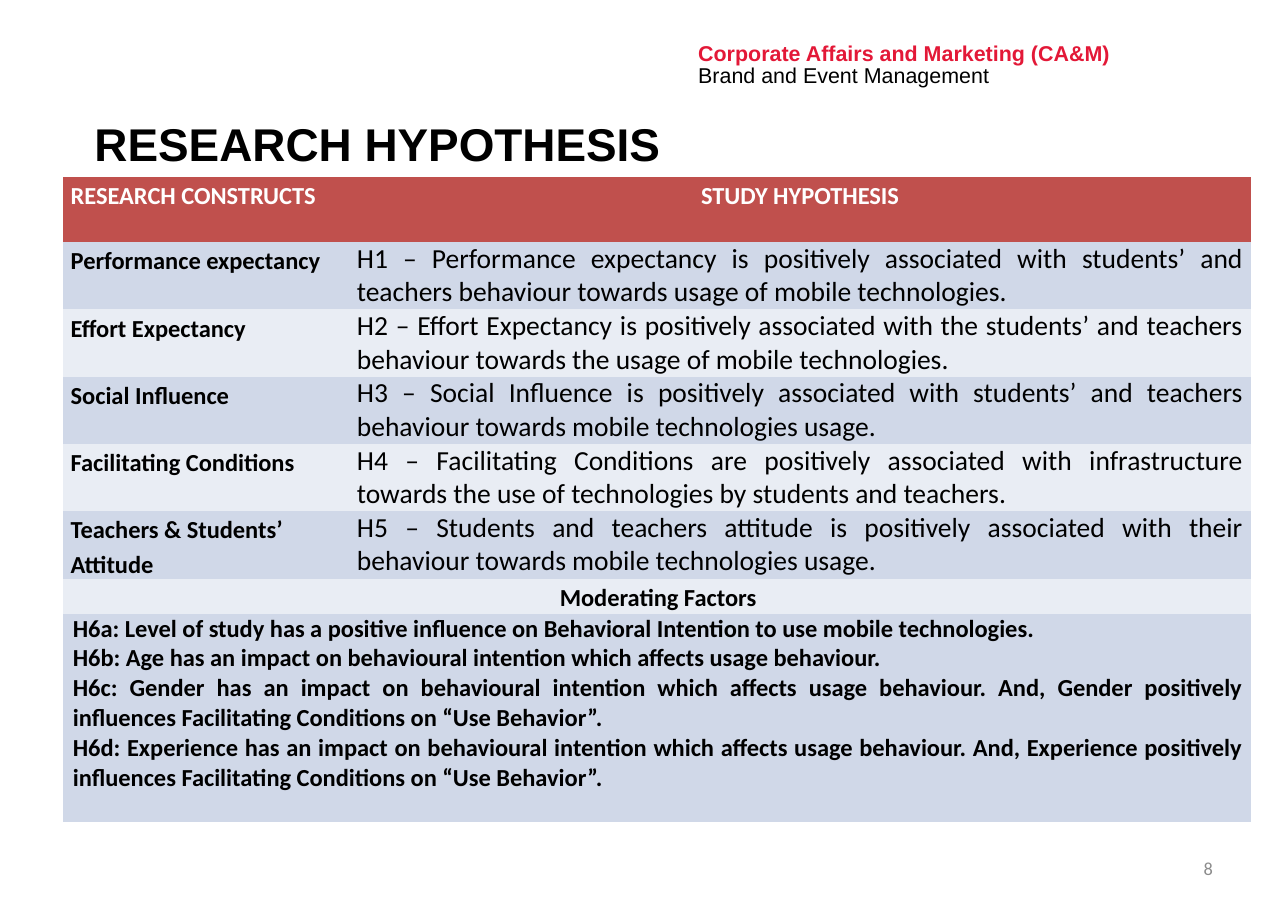
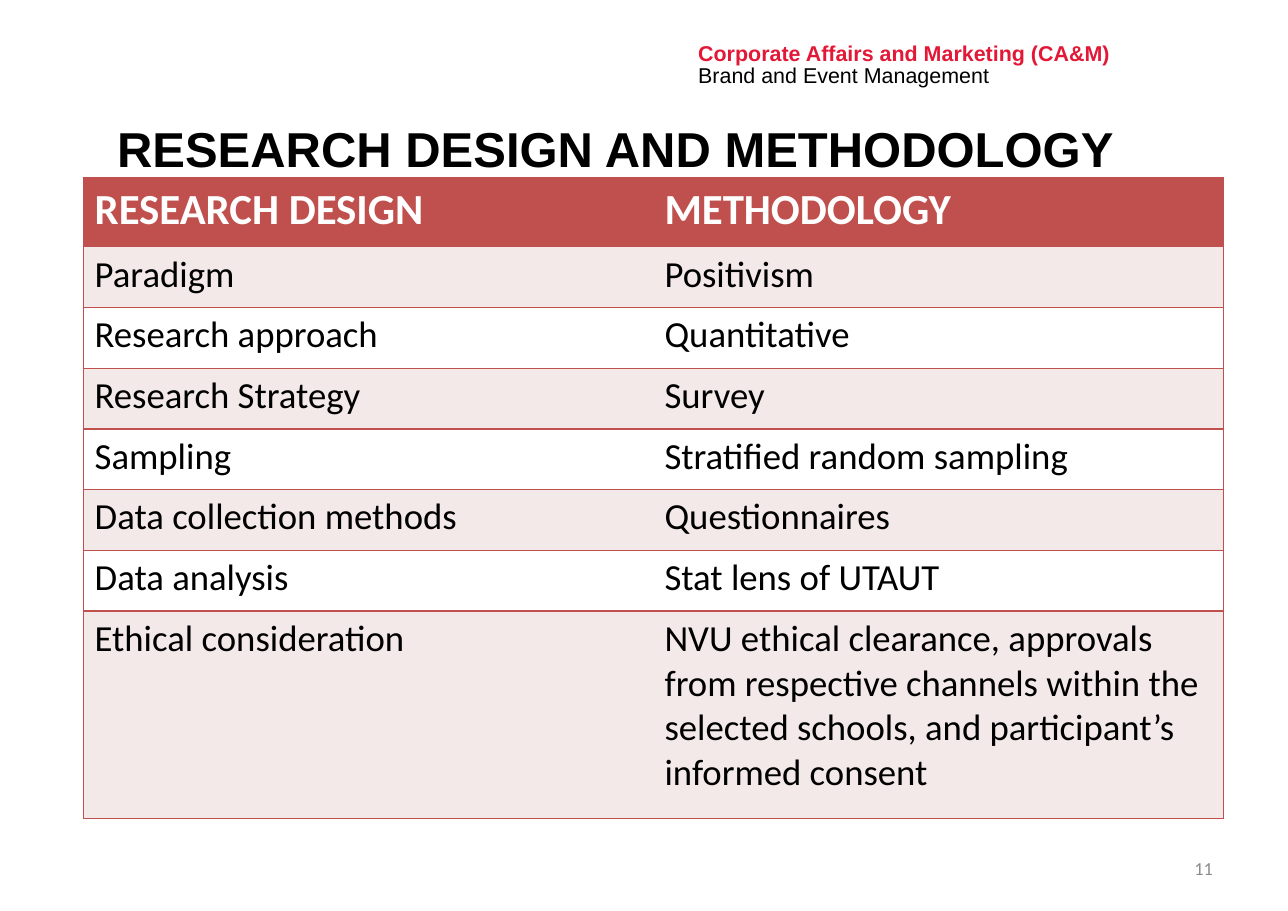
from dataclasses import dataclass

from lxml import etree
from pptx import Presentation
from pptx.dml.color import RGBColor
from pptx.enum.text import MSO_ANCHOR, PP_ALIGN
from pptx.oxml.ns import qn
from pptx.util import Cm, Pt

LEFT, CENTER = PP_ALIGN.LEFT, PP_ALIGN.CENTER
RIGHT, JUSTIFY = PP_ALIGN.RIGHT, PP_ALIGN.JUSTIFY
TOP, MIDDLE = MSO_ANCHOR.TOP, MSO_ANCHOR.MIDDLE

HEADING_FONT, BODY_FONT = "Arial", "Calibri"
BLACK, WHITE, GREY = "000000", "FFFFFF", "8C8C8C"
CRIMSON, BRICK, BLUSH = "E31837", "C0504D", "F4E9E9"
BLUE_BANDS = ("D0D8E8", "E9EDF4")
BLUSH_BANDS = (BLUSH, WHITE)
NO_STYLE = "{2D5ABB26-0587-4C30-8999-92F81FD0307C}"

HYPOTHESES = [
    ("Performance expectancy",
     "H1 – Performance expectancy is positively associated with students’ and "
     "teachers behaviour towards usage of mobile technologies."),
    ("Effort Expectancy",
     "H2 – Effort Expectancy is positively associated with the students’ and "
     "teachers behaviour towards the usage of mobile technologies."),
    ("Social Influence",
     "H3 – Social Influence is positively associated with students’ and "
     "teachers behaviour towards mobile technologies usage."),
    ("Facilitating Conditions",
     "H4 – Facilitating Conditions are positively associated with infrastructure "
     "towards the use of technologies by students and teachers."),
    ("Teachers & Students’ Attitude",
     "H5 – Students and teachers attitude is positively associated with their "
     "behaviour towards mobile technologies usage."),
]
MODERATORS = [
    "H6a: Level of study has a positive influence on Behavioral Intention to use "
    "mobile technologies.",
    "H6b: Age has an impact on behavioural intention which affects usage behaviour.",
    "H6c: Gender has an impact on behavioural intention which affects usage "
    "behaviour. And, Gender positively influences Facilitating Conditions on "
    "“Use Behavior”.",
    "H6d: Experience has an impact on behavioural intention which affects usage "
    "behaviour. And, Experience positively influences Facilitating Conditions on "
    "“Use Behavior”.",
]
METHODS = [
    ("RESEARCH DESIGN", "METHODOLOGY"),
    ("Paradigm", "Positivism"),
    ("Research approach", "Quantitative"),
    ("Research Strategy", "Survey"),
    ("Sampling", "Stratified random sampling"),
    ("Data collection methods", "Questionnaires"),
    ("Data analysis", "Stat lens of UTAUT"),
    ("Ethical consideration",
     "NVU ethical clearance, approvals from respective channels within the "
     "selected schools, and participant’s informed consent"),
]


@dataclass
class Style:
    """Look of a paragraph."""
    size: float
    color: str = BLACK
    bold: bool = False
    font: str = BODY_FONT
    align: PP_ALIGN = LEFT
    spacing: float = 1.0
    before: float = 0


def rgb(color):
    """Turn a hex string into a colour."""
    return RGBColor.from_string(color)


def write(frame, lines):
    """Fill a text frame with (text, style) paragraphs."""
    for index, (text, style) in enumerate(lines):
        paragraph = frame.add_paragraph() if index else frame.paragraphs[0]
        paragraph.text = text
        paragraph.alignment = style.align
        paragraph.line_spacing = style.spacing
        paragraph.space_before = Pt(style.before)
        paragraph.font.name = style.font
        paragraph.font.size = Pt(style.size)
        paragraph.font.bold = style.bold
        paragraph.font.color.rgb = rgb(style.color)


def add_text(slide, box, lines, anchor=TOP):
    """Place a wrapping text box in a (left, top, width, height) box in cm."""
    frame = slide.shapes.add_textbox(*map(Cm, box)).text_frame
    frame.word_wrap = True
    frame.vertical_anchor = anchor
    write(frame, lines)


def add_frame(slide, title, title_box, title_size, number):
    """Add the department heading, title and page number."""
    department = Style(14, CRIMSON, True, HEADING_FONT, spacing=Pt(11.3), before=2.8)
    unit = Style(14, font=HEADING_FONT, spacing=Pt(11.3), before=2.8)
    add_text(slide, (15.85, 1, 12.8, 1.3),
             [("Corporate Affairs and Marketing (CA&M)", department),
              ("Brand and Event Management", unit)])
    add_text(slide, (21.29, 19.46, 6.93, 1.12),
             [(number, Style(12, GREY, align=RIGHT))], MIDDLE)
    add_text(slide, title_box,
             [(title, Style(title_size, bold=True, font=HEADING_FONT))], MIDDLE)


def add_grid(slide, left, top, widths, heights):
    """Add an unstyled table with the given column widths and row heights in cm."""
    table = slide.shapes.add_table(
        len(heights), len(widths), Cm(left), Cm(top),
        Cm(sum(widths)), Cm(sum(heights))).table
    table.horz_banding = False
    table._tbl.tblPr.find(qn("a:tableStyleId")).text = NO_STYLE
    for column, width in zip(table.columns, widths):
        column.width = Cm(width)
    for row, height in zip(table.rows, heights):
        row.height = Cm(height)
    return table


def fill_cell(cell, lines, color):
    """Write text into a cell and colour its background."""
    write(cell.text_frame, lines)
    cell.fill.solid()
    cell.fill.fore_color.rgb = rgb(color)


def set_borders(cell, sides, color):
    """Draw one-point borders on sides listed in L, R, T, B order."""
    properties = cell._tc.get_or_add_tcPr()
    for side in sides:
        line = etree.SubElement(properties, qn(f"a:ln{side}"), w=str(Pt(1)))
        paint = etree.SubElement(line, qn("a:solidFill"))
        etree.SubElement(paint, qn("a:srgbClr"), val=color)


def add_hypothesis_table(slide, left, top):
    """Add the constructs, their hypotheses and the moderating factors."""
    table = add_grid(slide, left, top, (6.6, 20.8),
                     [1.5] + [1.55] * len(HYPOTHESES) + [0.81, 4.79])
    header = Style(16, WHITE, True, spacing=1.15)
    header_center = Style(16, WHITE, True, align=CENTER, spacing=1.15)
    construct = Style(16, bold=True, spacing=1.15)
    hypothesis = Style(18, align=JUSTIFY)
    factor_title = Style(16, bold=True, align=CENTER, spacing=1.15)
    factor = Style(16, bold=True, align=JUSTIFY)

    rows = [[[("RESEARCH CONSTRUCTS", header)], [("STUDY HYPOTHESIS", header_center)]]]
    rows += [[[(name, construct)], [(claim, hypothesis)]] for name, claim in HYPOTHESES]
    rows += [[[("Moderating Factors", factor_title)]],
             [[(text, factor) for text in MODERATORS]]]

    for r, row in enumerate(rows):
        color = BLUE_BANDS[(r - 1) % 2] if r else BRICK
        merged = len(row) == 1
        if merged:
            table.cell(r, 0).merge(table.cell(r, 1))
        for c, lines in enumerate(row):
            cell = table.cell(r, c)
            cell.margin_left = Cm(0.23 if merged else 0.18)
            cell.margin_right = Cm(0.18)
            cell.margin_top = cell.margin_bottom = 0
            fill_cell(cell, lines, color)


def add_method_table(slide, left, top):
    """Add the two-column research design table."""
    table = add_grid(slide, left, top, (13.14, 13.14),
                     [1.59] + [1.4] * (len(METHODS) - 2) + [4.78])
    header, body = Style(28, WHITE, True), Style(24)
    for r, row in enumerate(METHODS):
        color = BLUSH_BANDS[(r - 1) % 2] if r else BRICK
        for c, text in enumerate(row):
            cell = table.cell(r, c)
            set_borders(cell, ("LTB", "RTB")[c], BRICK)
            fill_cell(cell, [(text, body if r else header)], color)


def main():
    """Build and save both slides."""
    deck = Presentation()
    deck.slide_width, deck.slide_height = Cm(29.7), Cm(21)
    blank = deck.slide_layouts[6]

    hypothesis_slide = deck.slides.add_slide(blank)
    add_frame(hypothesis_slide, "RESEARCH HYPOTHESIS", (1.93, 2.5, 26.3, 1.6), 30, "8")
    add_hypothesis_table(hypothesis_slide, 1.45, 4.08)

    method_slide = deck.slides.add_slide(blank)
    add_frame(method_slide, "RESEARCH DESIGN AND METHODOLOGY",
              (2.45, 2.3, 26.3, 2.2), 32, "11")
    add_method_table(method_slide, 1.93, 4.1)

    deck.save("out.pptx")


if __name__ == "__main__":
    main()
